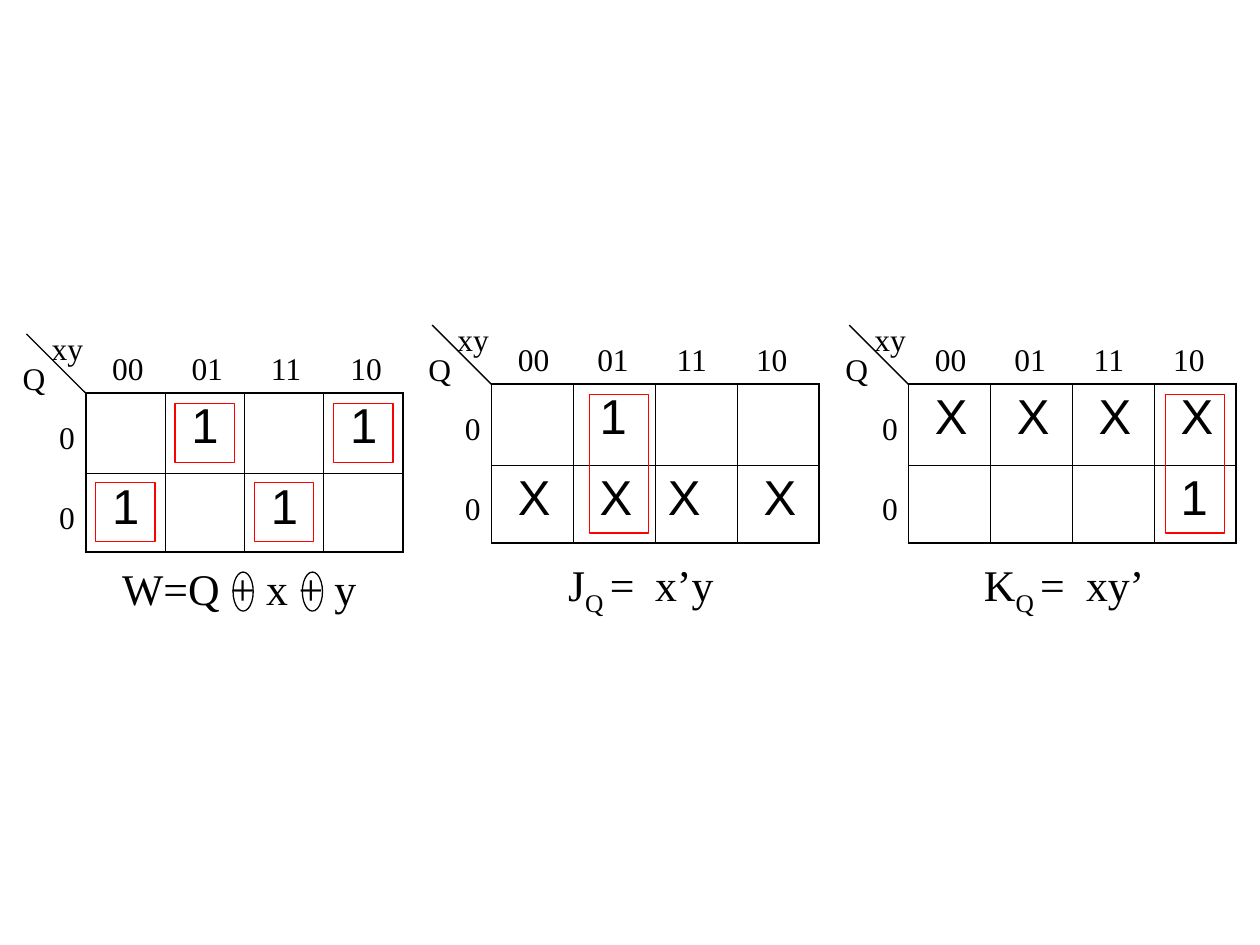
from lxml import etree
from pptx import Presentation
from pptx.dml.color import RGBColor
from pptx.enum import shapes, text
from pptx.oxml import ns
from pptx.util import Inches, Pt

COLORS = {"ink": "000000", "group": "FF0000"}
SERIF, SANS = "Times New Roman", "Arial"
CODES = ["00", "01", "11", "10"]
STEP = 0.63
ROW_HEIGHTS = [0.64, 0.62]
OUTER, INNER = 1.08, 0.45

MAPS = [
    {"origin": (0.68, 3.12), "column": 0.63, "flush": [],
     "cells": [["", "1", "", "1"], ["1", "", "1", ""]],
     "groups": [(0, 1, 1), (1, 0, 1), (2, 1, 1), (3, 0, 1)], "group_shift": 0.08,
     "formula": [("W=Q + x + y", False)],
     "formula_box": (-0.33, 1.29, 3.31, 0.52), "formula_inset": 0.62,
     "tab": None, "xor_offsets": [1.17, 1.72]},
    {"origin": (3.9, 3.05), "column": 0.65, "flush": [(1, 2)],
     "cells": [["", "1", "", ""], ["X", "X", "X", "X"]],
     "groups": [(1, 0, 2)], "group_shift": 0.15,
     "formula": [("J", False), ("Q ", True), ("=\tx’y", False)],
     "formula_box": (0.16, 1.33, 2.36, 0.58), "formula_inset": 0.45,
     "tab": 0.69, "xor_offsets": []},
    {"origin": (7.21, 3.05), "column": 0.65, "flush": [],
     "cells": [["X", "X", "X", "X"], ["", "", "", "1"]],
     "groups": [(3, 0, 2)], "group_shift": 0.15,
     "formula": [("K", False), ("Q ", True), ("=\txy’", False)],
     "formula_box": (0.15, 1.33, 2.36, 0.58), "formula_inset": 0.45,
     "tab": 0.81, "xor_offsets": []},
]


def color(name):
    return RGBColor.from_string(COLORS[name])


def write(frame, runs, size=18, font=SERIF, tab=None):
    paragraph = frame.paragraphs[0]
    if tab:
        stops = etree.SubElement(paragraph._p.get_or_add_pPr(), ns.qn("a:tabLst"))
        etree.SubElement(stops, ns.qn("a:tab"), pos=str(Inches(tab)), algn="l")
    for words, subscript in runs:
        run = paragraph.add_run()
        run.text = words
        run.font.size = Pt(size)
        run.font.name = font
        run.font.color.rgb = color("ink")
        if subscript:
            run.font._element.set("baseline", "-25000")


def add_label(slide, runs, left, top, width=0.71, height=0.4, inset=0.29, **style):
    label = slide.shapes.add_textbox(*map(Inches, (left, top, width, height)))
    frame = label.text_frame
    frame.word_wrap = True
    frame.auto_size = text.MSO_AUTO_SIZE.SHAPE_TO_FIT_TEXT
    frame.margin_left = Inches(inset)
    write(frame, runs, **style)


def add_outline(slide, preset, box, ink):
    outline = slide.shapes.add_shape(preset, *map(Inches, box))
    outline.shadow.inherit = False
    outline.fill.background()
    outline.line.color.rgb = color(ink)
    outline.line.width = Pt(0.75)


def add_border(cell, side, width):
    edge = etree.SubElement(cell._tc.get_or_add_tcPr(), ns.qn(f"a:ln{side}"), w=str(Pt(width)))
    fill = etree.SubElement(edge, ns.qn("a:solidFill"))
    etree.SubElement(fill, ns.qn("a:srgbClr"), val=COLORS["ink"])


def add_grid(slide, kmap):
    left, top = kmap["origin"]
    rows, columns = len(kmap["cells"]), len(CODES)
    box = (left, top, kmap["column"] * columns, sum(ROW_HEIGHTS))
    grid = slide.shapes.add_table(rows, columns, *map(Inches, box)).table
    grid.first_row = grid.horz_banding = False
    for column in grid.columns:
        column.width = Inches(kmap["column"])
    for r, values in enumerate(kmap["cells"]):
        grid.rows[r].height = Inches(ROW_HEIGHTS[r])
        for c, value in enumerate(values):
            cell = grid.cell(r, c)
            cell.margin_left = Inches(0.1 if (r, c) in kmap["flush"] else 0.21)
            outside = {"L": c == 0, "R": c == columns - 1, "T": r == 0, "B": r == rows - 1}
            for side, is_outer in outside.items():
                add_border(cell, side, OUTER if is_outer else INNER)
            cell.fill.background()
            if value:
                write(cell.text_frame, [(value, False)], size=28, font=SANS)


def add_axes(slide, left, top):
    for c, code in enumerate(CODES):
        add_label(slide, [(code, False)], left - 0.08 + c * STEP, top - 0.4)
    for r in range(len(ROW_HEIGHTS)):
        add_label(slide, [("0", False)], left - 0.56, top + 0.15 + r * STEP, inset=0.35)
    ends = (left, top, left - 0.47, top - 0.47)
    diagonal = slide.shapes.add_connector(shapes.MSO_CONNECTOR.STRAIGHT, *map(Inches, ends))
    diagonal.line.color.rgb = color("ink")
    diagonal.line.width = Pt(0.75)
    etree.SubElement(diagonal._element.spPr, ns.qn("a:effectLst"))
    add_label(slide, [("xy", False)], left - 0.56, top - 0.56)
    add_label(slide, [("Q", False)], left - 0.79, top - 0.32)


def add_map(slide, kmap):
    left, top = kmap["origin"]
    add_grid(slide, kmap)
    add_axes(slide, left, top)
    for c, r, span in kmap["groups"]:
        box = (left + kmap["group_shift"] + c * STEP, top + 0.08 + r * STEP,
               0.47, 0.47 + (span - 1) * STEP)
        add_outline(slide, shapes.MSO_SHAPE.RECTANGLE, box, "group")
    dx, dy, width, height = kmap["formula_box"]
    add_label(slide, kmap["formula"], left + dx, top + dy, width, height,
              inset=kmap["formula_inset"], size=25, tab=kmap["tab"])
    for offset in kmap["xor_offsets"]:
        add_outline(slide, shapes.MSO_SHAPE.OVAL, (left + offset, top + 1.42, 0.16, 0.31), "ink")


def main():
    deck = Presentation()
    deck.slide_width, deck.slide_height = Inches(10), Inches(7.5)
    slide = deck.slides.add_slide(deck.slide_layouts[6])
    for kmap in MAPS:
        add_map(slide, kmap)
    deck.save("out.pptx")


if __name__ == "__main__":
    main()
